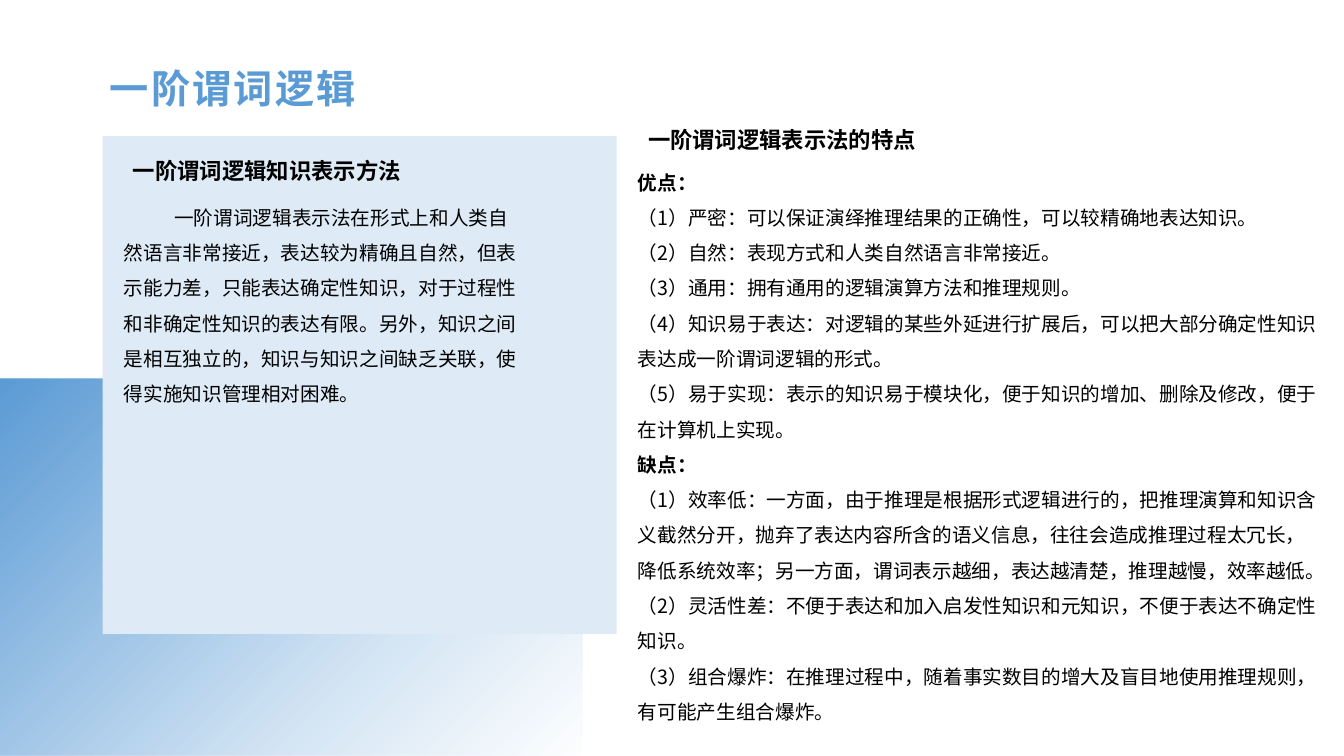
from lxml.etree import SubElement
from pptx import Presentation
from pptx.dml.color import RGBColor
from pptx.enum.shapes import MSO_SHAPE
from pptx.enum.text import MSO_ANCHOR as ANCHOR, MSO_AUTO_SIZE as AUTO_SIZE, PP_ALIGN as ALIGN
from pptx.oxml import parse_xml
from pptx.oxml.ns import nsdecls, qn
from pptx.util import Pt

COLORS = {"blue": "5B9BD5", "pale": "DEEBF7", "text": "000000"}
FONT = "Noto Sans CJK SC"

presentation = Presentation()
presentation.slide_width, presentation.slide_height = Pt(960), Pt(540)
slide = presentation.slides.add_slide(presentation.slide_layouts.get_by_name("Comparison"))


def add_rectangle(layer, left, top, width, height):
    shape = slide.shapes.add_shape(
        MSO_SHAPE.RECTANGLE, Pt(left), Pt(top), Pt(width), Pt(height))
    shape.shadow.inherit = False
    shape.line.fill.background()
    # Place it behind the placeholders, after the two group property elements
    shape.element.getparent().insert(2 + layer, shape.element)
    return shape


def fill_placeholder(shape, box, lines, size, color="text", bold=False,
                     indent=0, line_spacing=1.0, anchor=ANCHOR.TOP, tracking=0):
    shape.left, shape.top, shape.width, shape.height = map(Pt, box)
    frame = shape.text_frame
    frame_format = {
        "word_wrap": True, "auto_size": AUTO_SIZE.NONE, "vertical_anchor": anchor,
        "margin_left": Pt(5), "margin_right": Pt(5),
        "margin_top": Pt(2.5), "margin_bottom": Pt(2.5),
    }
    for name, value in frame_format.items():
        setattr(frame, name, value)
    for number, line in enumerate(lines):
        paragraph = frame.add_paragraph() if number else frame.paragraphs[0]
        properties = paragraph._p.get_or_add_pPr()
        properties.set("marL", "0")
        properties.set("indent", str(Pt(indent)))
        SubElement(properties, qn("a:buNone"))
        paragraph_format = {"alignment": ALIGN.LEFT, "line_spacing": line_spacing,
                            "space_before": Pt(0), "space_after": Pt(0)}
        for name, value in paragraph_format.items():
            setattr(paragraph, name, value)
        run = paragraph.add_run()
        run.text = line
        # A line that ends with a colon is a subheading
        font_format = {"name": FONT, "size": Pt(size), "bold": bold or line.endswith("：")}
        for name, value in font_format.items():
            setattr(run.font, name, value)
        run.font.color.rgb = RGBColor.from_string(COLORS[color])
        run_properties = run._r.get_or_add_rPr()
        SubElement(run_properties, qn("a:ea"), typeface=FONT)
        if tracking:
            run_properties.set("spc", str(round(tracking * 100)))


# Corner backdrop that fades out towards the bottom right
backdrop = add_rectangle(0, 0, 270.7, 416.2, 269.3)
stops = "".join(
    f'<a:gs pos="{position * 1000}"><a:srgbClr val="{COLORS["blue"]}">'
    f'<a:alpha val="{opacity * 1000}"/></a:srgbClr></a:gs>'
    for position, opacity in [(0, 0), (34, 27), (100, 100)])
gradient = parse_xml(
    f'<a:gradFill {nsdecls("a")} rotWithShape="1"><a:gsLst>{stops}</a:gsLst>'
    '<a:path path="circle"><a:fillToRect l="100000" t="100000"/></a:path></a:gradFill>')
backdrop.element.spPr.insert(2, gradient)

# Pale panel
panel = add_rectangle(1, 73.4, 97.2, 367.2, 355.7)
panel.fill.solid()
panel.fill.fore_color.rgb = RGBColor.from_string(COLORS["pale"])

# Title and the two columns
title, left_heading, left_body, right_heading, right_body = [
    slide.placeholders[index] for index in range(5)]

fill_placeholder(title, (73.4, 41.8, 386.6, 42.5), ["一阶谓词逻辑"], 28, "blue",
                 bold=True, anchor=ANCHOR.MIDDLE, tracking=1.6)
fill_placeholder(left_heading, (90, 109.4, 401.8, 35.3),
                 ["一阶谓词逻辑知识表示方法"], 16, bold=True)
fill_placeholder(left_body, (83.5, 136.1, 296.6, 242.6), [
    "一阶谓词逻辑表示法在形式上和人类自然语言非常接近，表达较为精确且自然，但表示能力差，"
    "只能表达确定性知识，对于过程性和非确定性知识的表达有限。另外，知识之间是相互独立的，"
    "知识与知识之间缺乏关联，使得实施知识管理相对困难。",
], 14, indent=36, line_spacing=1.5)
fill_placeholder(right_heading, (457.9, 87.8, 401.8, 57.6),
                 ["一阶谓词逻辑表示法的特点"], 16, bold=True)
fill_placeholder(right_body, (450.7, 110.9, 495.4, 429.1), [
    "优点：",
    "（1）严密：可以保证演绎推理结果的正确性，可以较精确地表达知识。",
    "（2）自然：表现方式和人类自然语言非常接近。",
    "（3）通用：拥有通用的逻辑演算方法和推理规则。",
    "（4）知识易于表达：对逻辑的某些外延进行扩展后，可以把大部分确定性知识表达成一阶谓词逻辑的形式。",
    "（5）易于实现：表示的知识易于模块化，便于知识的增加、删除及修改，便于在计算机上实现。",
    "缺点：",
    "（1）效率低：一方面，由于推理是根据形式逻辑进行的，把推理演算和知识含义截然分开，"
    "抛弃了表达内容所含的语义信息，往往会造成推理过程太冗长，降低系统效率；"
    "另一方面，谓词表示越细，表达越清楚，推理越慢，效率越低。",
    "（2）灵活性差：不便于表达和加入启发性知识和元知识，不便于表达不确定性知识。",
    "（3）组合爆炸：在推理过程中，随着事实数目的增大及盲目地使用推理规则，有可能产生组合爆炸。",
], 14, line_spacing=1.5)

presentation.save("out.pptx")
